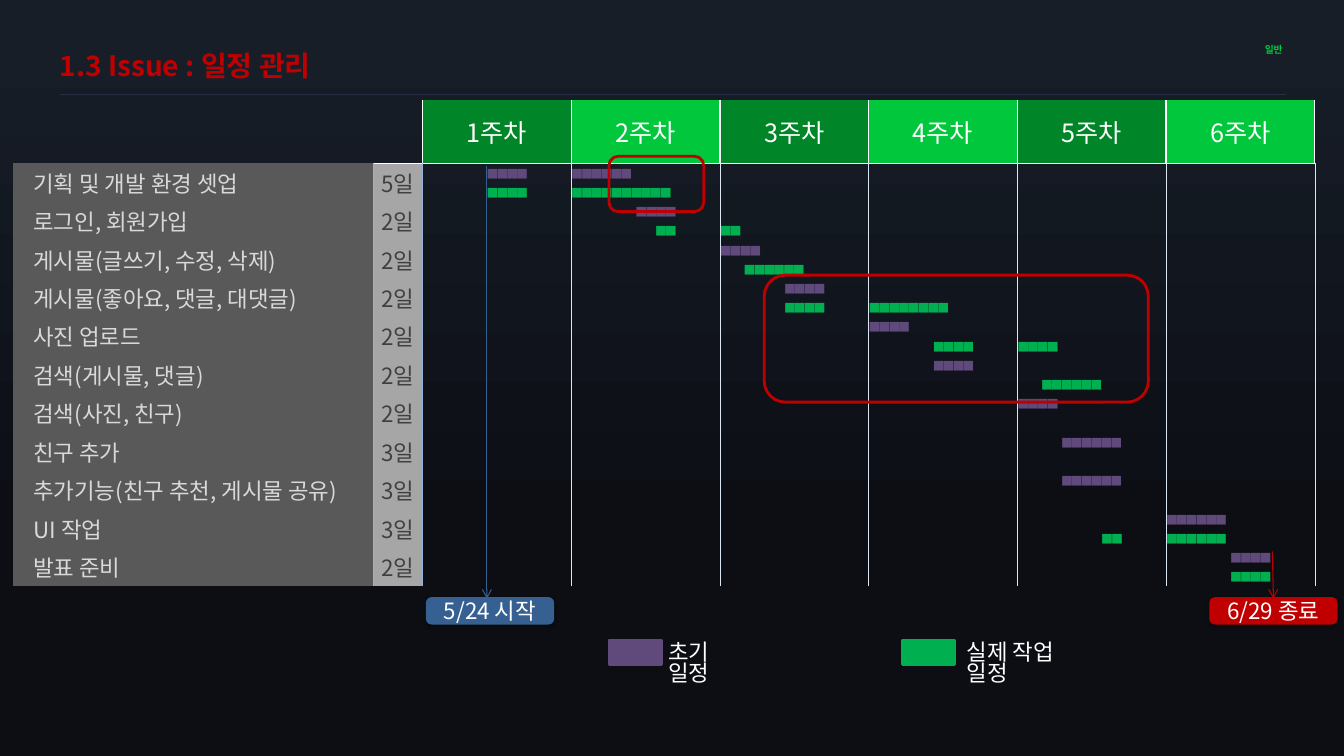
from typing import NamedTuple

from lxml import etree
from pptx import Presentation
from pptx import util as u
from pptx.dml.color import RGBColor
from pptx.enum import shapes, text
from pptx.oxml import ns

CJK, LATIN = "Noto Sans CJK KR", "Roboto"
PLAN, ACTUAL, RED, BLUE = "604A7B", "00B050", "C00000", "376092"
WHITE, PALE, SKY = "FFFFFF", "DCE6F2", "95B3D7"
LEFT, CENTER, RIGHT = text.PP_ALIGN.LEFT, text.PP_ALIGN.CENTER, text.PP_ALIGN.RIGHT
MIDDLE, TOP = text.MSO_ANCHOR.MIDDLE, text.MSO_ANCHOR.TOP
PLACES = {"start": (LEFT, 0), "early": (LEFT, 0.16), "middle": (CENTER, 0), "late": (RIGHT, 0.29)}
WEEKS = 6


class Box(NamedTuple):
    left: float
    top: float
    width: float
    height: float


class Bar(NamedTuple):
    week: int
    count: int
    place: str = "start"


class Task(NamedTuple):
    name: str
    days: int
    plan: list[Bar]
    actual: list[Bar]


class Line(NamedTuple):
    x1: float
    y1: float
    x2: float
    y2: float
    color: str
    width: float
    arrow: bool


class Block(NamedTuple):
    box: Box
    kind: shapes.MSO_SHAPE
    fill: str | None
    line: str
    width: float
    label: str = ""


TASKS = [
    Task("기획 및 개발 환경 셋업", 5, [Bar(1, 4, "late"), Bar(2, 6)], [Bar(1, 4, "late"), Bar(2, 10)]),
    Task("로그인, 회원가입", 2, [Bar(2, 4, "late")], [Bar(2, 2, "late"), Bar(3, 2)]),
    Task("게시물(글쓰기, 수정, 삭제)", 2, [Bar(3, 4)], [Bar(3, 6, "early")]),
    Task("게시물(좋아요, 댓글, 대댓글)", 2, [Bar(3, 4, "late")], [Bar(3, 4, "late"), Bar(4, 8)]),
    Task("사진 업로드", 2, [Bar(4, 4)], [Bar(4, 4, "late"), Bar(5, 4)]),
    Task("검색(게시물, 댓글)", 2, [Bar(4, 4, "late")], [Bar(5, 6, "early")]),
    Task("검색(사진, 친구)", 2, [Bar(5, 4)], []),
    Task("친구 추가", 3, [Bar(5, 6, "middle")], []),
    Task("추가기능(친구 추천, 게시물 공유)", 3, [Bar(5, 6, "middle")], []),
    Task("UI 작업", 3, [Bar(6, 6)], [Bar(5, 2, "late"), Bar(6, 6)]),
    Task("발표 준비", 2, [Bar(6, 4, "late")], [Bar(6, 4, "late")]),
]
RECT, ROUND = shapes.MSO_SHAPE.RECTANGLE, shapes.MSO_SHAPE.ROUNDED_RECTANGLE
LEGEND = [Block(Box(45.31, 84.67, 3.9, 3.2), RECT, PLAN, PLAN, 2),
          Block(Box(67.14, 84.67, 3.9, 3.2), RECT, ACTUAL, ACTUAL, 2)]
LEGEND_TEXT = [(Box(48.99, 84.4, 7.65, 4.93), "초기 일정"),
               (Box(71.19, 84.4, 11.03, 4.93), "실제 작업 일정")]
MARKERS = [Block(Box(31.81, 79.2, 9.3, 3.2), ROUND, BLUE, BLUE, 2.25, "5/24 시작"),
           Block(Box(90.1, 79.2, 9.3, 3.2), ROUND, RED, RED, 2.25, "6/29 종료"),
           Block(Box(56.86, 36.4, 28.58, 16.8), ROUND, None, RED, 2),
           Block(Box(45.31, 20.67, 7.05, 7.33), ROUND, None, RED, 2)]
RULE = Line(4.43, 12.4, 95.65, 12.4, "262E42", 0.25, False)
ARROWS = [Line(36.23, 22, 36.23, 79.2, BLUE, 0.75, True),
          Line(94.67, 72.93, 94.75, 79.2, RED, 0.75, True)]

prs = Presentation()
prs.slide_width, prs.slide_height = u.Inches(13.33), u.Inches(7.5)
slide = prs.slides.add_slide(prs.slide_layouts[5])


def rgb(color: str) -> RGBColor:
    return RGBColor.from_string(color)


def x(percent: float) -> int:
    return round(prs.slide_width * percent / 100)


def y(percent: float) -> int:
    return round(prs.slide_height * percent / 100)


def place(box: Box) -> tuple[int, int, int, int]:
    return x(box.left), y(box.top), x(box.width), y(box.height)


def sub(parent, tag: str, **attrs):
    return etree.SubElement(parent, ns.qn(tag), {k: str(v) for k, v in attrs.items()})


def write(tf, content: str, *, size: float = 16, color: str = WHITE, font: str = CJK,
          align=LEFT, bold: bool = False, spacing: float = 0, leading: float = 1) -> None:
    p = tf.paragraphs[0]
    p.alignment, p.line_spacing = align, leading
    if not content:
        sub(p._p, "a:endParaRPr", sz=size * 100)
        return
    r = p.add_run()
    r.text = content
    r.font.size, r.font.bold, r.font.name = u.Pt(size), bold, font
    r.font.color.rgb = rgb(color)
    sub(r.font._element, "a:ea", typeface=font)
    if spacing:
        r.font._element.set("spc", str(round(spacing * 100)))


def set_margins(target, left: int = 0, right: int = 0, top: int = 0) -> None:
    target.margin_left, target.margin_right = left, right
    target.margin_top, target.margin_bottom = top, 0


def draw_line(line: Line) -> None:
    sp = slide.shapes.add_connector(shapes.MSO_CONNECTOR.STRAIGHT,
                                    x(line.x1), y(line.y1), x(line.x2), y(line.y2))
    sp.line.color.rgb, sp.line.width = rgb(line.color), u.Pt(line.width)
    if line.arrow:
        sub(sp.line._get_or_add_ln(), "a:tailEnd", type="arrow")
    sub(sp._element.spPr, "a:effectLst")


def draw_block(block: Block) -> None:
    sp = slide.shapes.add_shape(block.kind, *place(block.box))
    sp.shadow.inherit = False
    sp.line.color.rgb, sp.line.width = rgb(block.line), u.Pt(block.width)
    if block.fill:
        sp.fill.solid()
        sp.fill.fore_color.rgb = rgb(block.fill)
    else:
        sp.fill.background()
    if block.label:
        shadow = sub(sp._element.spPr.find(ns.qn("a:effectLst")), "a:outerShdw",
                     blurRad=u.Pt(3.1), dist=u.Pt(1.6), dir=5400000, rotWithShape=0)
        sub(sub(shadow, "a:srgbClr", val="000000"), "a:alpha", val=38000)
        set_margins(sp.text_frame)
        sp.text_frame.vertical_anchor = MIDDLE
        write(sp.text_frame, block.label, align=CENTER)


def draw_text(box: Box, content: str, **style) -> None:
    tf = slide.shapes.add_textbox(*place(box)).text_frame
    tf.word_wrap = True
    if style.pop("tight", False):
        set_margins(tf)
        tf.vertical_anchor = MIDDLE
    write(tf, content, **style)


def fill_cell(cell, content: str = "", *, fill: str | None = None, alpha: int = 100,
              borders: dict[str, tuple[str, float]], left: int = 0, right: int = 0, **style) -> None:
    set_margins(cell, left, right)
    cell.vertical_anchor = MIDDLE
    tcPr = cell._tc.get_or_add_tcPr()
    for side in "LRTB":
        color, width = borders.get(side, (None, 0))
        ln = sub(tcPr, f"a:ln{side}", w=u.Pt(width))
        if color:
            sub(sub(ln, "a:solidFill"), "a:srgbClr", val=color)
        else:
            sub(ln, "a:noFill")
    if fill:
        cell.fill.solid()
        cell.fill.fore_color.rgb = rgb(fill)
        if alpha < 100:
            sub(tcPr.find(f".//{ns.qn('a:srgbClr')}"), "a:alpha", val=alpha * 1000)
    else:
        cell.fill.background()
    write(cell.text_frame, content, **style)


def draw_schedule(box: Box, name_width: float, days_width: float, head: float) -> None:
    rows = 2 * len(TASKS)
    frame = slide.shapes.add_table(rows + 1, WEEKS + 2, *place(box))
    tbl = frame.table
    tbl.first_row = tbl.horz_banding = False
    tbl._tbl.tblPr.find(ns.qn("a:tableStyleId")).text = "{2D5ABB26-0587-4C30-8999-92F81FD0307C}"
    week_width = x((box.width - name_width - days_width) / WEEKS)
    for column, width in zip(tbl.columns, [x(name_width), x(days_width)] + [week_width] * WEEKS):
        column.width = width
    for i, row in enumerate(tbl.rows):
        row.height = y((box.height - head) / rows) if i else y(head)
    white, pale, sky = (WHITE, 1), (PALE, 0.25), (SKY, 0.25)
    for col in (0, 1):
        fill_cell(tbl.cell(0, col), borders={"R": white, "B": white} if col else {}, size=9)
    for week in range(1, WEEKS + 1):
        fill_cell(tbl.cell(0, week + 1), f"{week}주차", size=18, align=CENTER,
                  fill="008629" if week % 2 else "00C73C", borders=dict.fromkeys("LRB", white))
    for i, task in enumerate(TASKS):
        for half, (bars, color) in enumerate([(task.plan, PLAN), (task.actual, ACTUAL)]):
            row = 2 * i + 1 + half
            top = {"T": white} if row == 1 else {}
            fill_cell(tbl.cell(row, 0), "" if half else task.name, color="D9D9D9", left=u.Inches(0.2),
                      fill="595959", alpha=48, borders={"R": sky}, size=9 if half else 16)
            fill_cell(tbl.cell(row, 1), "" if half else f"{task.days}일", color="404040", align=CENTER,
                      fill="A6A6A6", borders={"L": sky, "R": sky} | top, size=9 if half else 16)
            planned = {bar.week: bar for bar in bars}
            for week in range(1, WEEKS + 1):
                bar = planned.get(week, Bar(week, 0))
                align, inset = PLACES[bar.place]
                margin = {"right" if align == RIGHT else "left": round(week_width * inset)}
                fill_cell(tbl.cell(row, week + 1), "■" * bar.count, size=9, font=LATIN, color=color,
                          spacing=-1.5, align=align, **margin,
                          borders={"L": sky if week == 1 else pale, "R": pale} | top)
        for col in (0, 1):
            tbl.cell(2 * i + 1, col).merge(tbl.cell(2 * i + 2, col))


def main() -> None:
    bg = slide.background.fill
    bg.gradient()
    bg.gradient_angle = 270
    for stop, position, color in zip(bg.gradient_stops, (0.05, 0.7), ("171E28", "0C0E14")):
        stop.position, stop.color.rgb = position, rgb(color)
    draw_line(RULE)
    draw_text(Box(85.3, 5.47, 10.13, 2.13), "일반", size=7, color="00C73C", bold=True,
              spacing=-0.2, align=RIGHT, tight=True)
    title = slide.shapes.title
    title.left, title.top, title.width, title.height = place(Box(4.43, 4.8, 78.32, 3.6))
    tf = title.text_frame
    tf.auto_size, tf.vertical_anchor = text.MSO_AUTO_SIZE.NONE, TOP
    set_margins(tf, top=u.Inches(0.12))
    write(tf, "1.3 Issue : 일정 관리", size=20, color=RED, bold=True)
    for block in LEGEND:
        draw_block(block)
    for box, label in LEGEND_TEXT:
        draw_text(box, label, leading=0.8)
    draw_schedule(Box(0.98, 13.2, 96.85, 64.4), name_width=26.78, days_width=3.68, head=8.4)
    for arrow in ARROWS:
        draw_line(arrow)
    for block in MARKERS:
        draw_block(block)
    prs.save("out.pptx")


if __name__ == "__main__":
    main()
